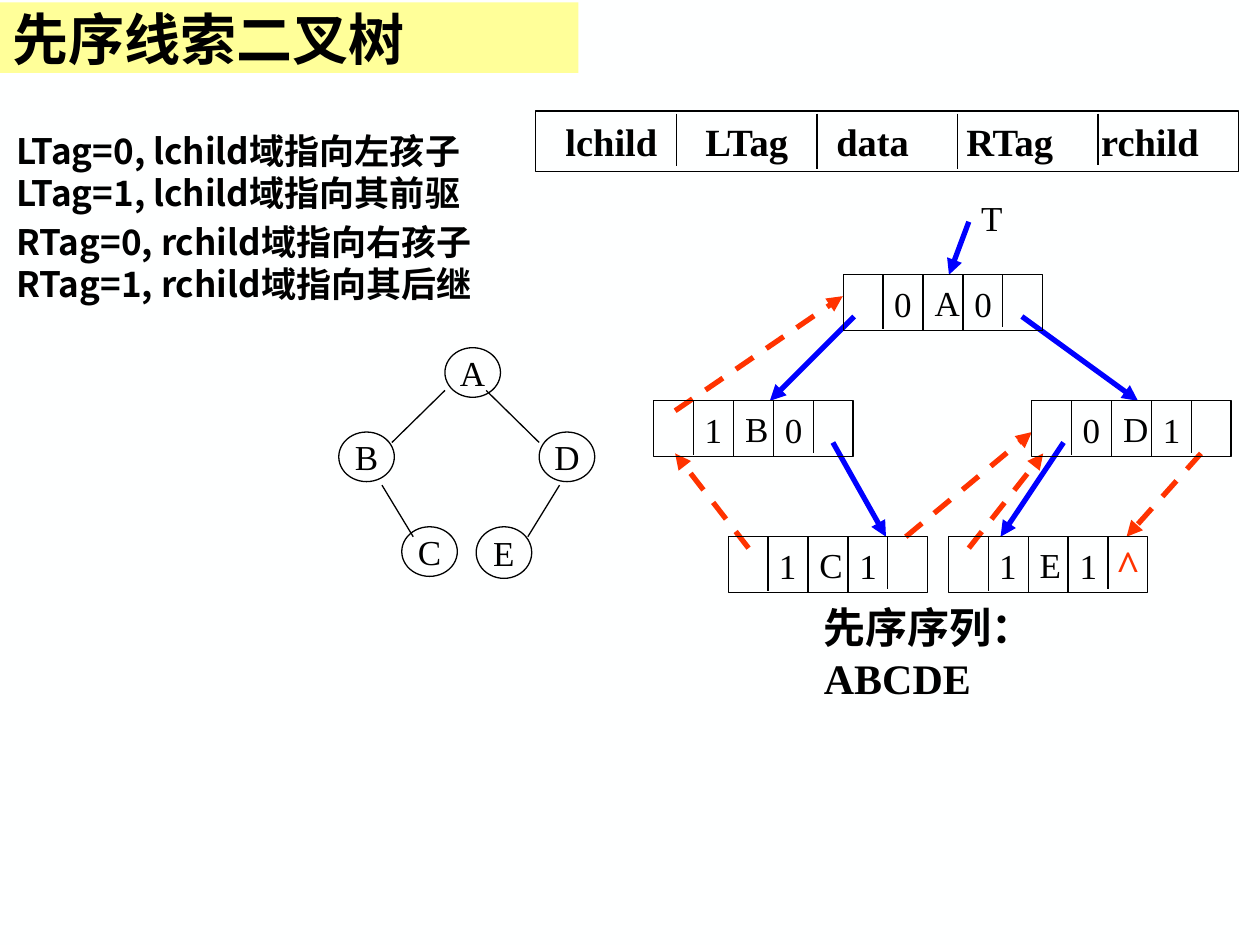
from pptx import Presentation
from pptx.dml.color import RGBColor
from pptx.enum import dml, shapes, text
from pptx.oxml.ns import qn
from pptx.util import Cm, Pt
from lxml import etree

BLACK = RGBColor(0x00, 0x00, 0x00)
BLUE = RGBColor(0x00, 0x00, 0xFF)
RED = RGBColor(0xFF, 0x33, 0x00)
CREAM = RGBColor(0xFF, 0xFF, 0x99)
PAPER = RGBColor(0xFE, 0xFF, 0xFF)
SERIF, SANS = "Times New Roman", "Noto Sans CJK SC"
LEFT, MID = text.PP_ALIGN.LEFT, text.PP_ALIGN.CENTER

deck = Presentation()
deck.slide_width, deck.slide_height = Cm(25.4), Cm(19.05)
slide = deck.slides.add_slide(deck.slide_layouts[6])
slide.background.fill.solid()
slide.background.fill.fore_color.rgb = PAPER


def write(words, x, y, w, h, form=None, size=20, font=SERIF, bold=False,
          color=BLACK, align=LEFT, wrap=False, top=False, inset=0.25,
          fill=None, line=True, tabs=(), gap=0):
    """Put text in a text box, or in the preset shape given as form."""
    box = tuple(Cm(n) for n in (x, y, w, h))
    if form is None:
        item = slide.shapes.add_textbox(*box)
    else:
        item = slide.shapes.add_shape(form, *box)
        item.shadow.inherit = False
        if fill is None:
            item.fill.background()
        else:
            item.fill.solid()
            item.fill.fore_color.rgb = fill
        if line:
            item.line.color.rgb, item.line.width = BLACK, Pt(0.75)
        else:
            item.line.fill.background()
    frame = item.text_frame
    frame.text = words
    frame.word_wrap = wrap
    frame.margin_left = Cm(inset)
    anchor = text.MSO_ANCHOR
    frame.vertical_anchor = anchor.TOP if top else anchor.MIDDLE
    for i, para in enumerate(frame.paragraphs):
        para.alignment = align
        if i:
            para.space_before = Pt(gap)
        if tabs:
            stops = etree.SubElement(para._p.get_or_add_pPr(), qn("a:tabLst"))
            for stop in tabs:
                etree.SubElement(stops, qn("a:tab"), pos=str(Cm(stop)), algn="l")
        for run in para.runs:
            run.font.size, run.font.bold = Pt(size), bold
            run.font.name, run.font.color.rgb = font, color
            if font == SANS:
                etree.SubElement(run._r.rPr, qn("a:ea"), typeface=font)


def link(x1, y1, x2, y2, color=BLACK, width=0.75, dash=False, head=False):
    item = slide.shapes.add_connector(
        shapes.MSO_CONNECTOR.STRAIGHT, Cm(x1), Cm(y1), Cm(x2), Cm(y2))
    item.line.color.rgb, item.line.width = color, Pt(width)
    if dash:
        item.line.dash_style = dml.MSO_LINE.DASH
    if head:
        etree.SubElement(item.line._get_or_add_ln(), qn("a:tailEnd"), type="triangle")
    etree.SubElement(item._element.spPr, qn("a:effectLst"))


OVAL = shapes.MSO_SHAPE.OVAL
RECT = shapes.MSO_SHAPE.RECTANGLE

# Plain binary tree
for name, x, y, h in [("A", 8.97, 7.01, 1), ("B", 6.83, 8.71, 1),
                      ("C", 8.1, 10.62, 1), ("D", 10.87, 8.71, 1),
                      ("E", 9.6, 10.62, 1.04)]:
    write(name, x, y, 1.12, h, form=OVAL, align=MID)
for edge in [(8.97, 7.87, 7.9, 8.92), (9.8, 7.87, 10.87, 8.92),
             (7.7, 9.78, 8.33, 10.82), (11.28, 9.78, 10.64, 10.82)]:
    link(*edge)

# Child pointers, then threads
for ends in [(17.22, 6.38, 15.52, 8.08), (20.6, 6.38, 22.94, 8.08),
             (16.79, 8.92, 17.86, 10.82), (21.44, 8.92, 20.17, 10.82),
             (19.53, 4.47, 19.13, 5.54)]:
    link(*ends, color=BLUE, width=3, head=True)
for ends in [(13.61, 8.28, 16.99, 5.97), (15.09, 11.05, 13.61, 9.14),
             (18.26, 10.82, 20.8, 8.71), (24.21, 9.14, 22.71, 10.82),
             (19.53, 11.05, 21.03, 9.14)]:
    link(*ends, color=RED, width=3, dash=True, head=True)

# Threaded nodes: five cells with a tag on each side of the name
wide, tall = 4.02, 1.12
for name, x, y, ltag, rtag in [("A", 17, 5.54, "0", "0"),
                               ("B", 13.18, 8.08, "1", "0"),
                               ("D", 20.8, 8.08, "0", "1"),
                               ("C", 14.68, 10.82, "1", "1"),
                               ("E", 19.12, 10.82, "1", "1")]:
    write(name, x, y, wide, tall, form=RECT, wrap=True, inset=1.84)
    for i, drop in enumerate([1.1, 1.12, 1.12, 1.06], 1):
        link(x + i * wide / 5, y, x + i * wide / 5, y + drop)
    for tag, shift in [(ltag, 0.77), (rtag, 2.39)]:
        write(tag, x + shift, y + 0.04, 0.86, 1.09, align=MID)
write("^", 22.23, 10.72, 1.02, 1.27, size=24, bold=True, color=RED, align=MID)
write("T", 19.53, 3.84, 0.94, 1.09, top=True)
write("先序序列：\vABCDE", 16.36, 12.01, 7.75, 1.27, size=24, bold=True, top=True)

# Node layout
write("lchild\tLTag\tdata\tRTag\trchild", 10.8, 2.24, 14.17, 1.22, form=RECT,
      size=22, bold=True, wrap=True, inset=0.6, tabs=(2.82, 5.46, 8.08, 10.8))
for i, foot in enumerate([3.35, 3.4, 3.4, 3.33], 1):
    x = 10.8 + i * 14.17 / 5
    link(x, 2.29, x, foot)

# Title and rules
write("先序线索二叉树", 0, 0.05, 11.66, 1.42, form=RECT, size=32, font=SANS,
      bold=True, wrap=True, fill=CREAM, line=False)
write("LTag=0, lchild域指向左孩子\vLTag=1, lchild域指向其前驱\n"
      "RTag=0, rchild域指向右孩子\vRTag=1, rchild域指向其后继",
      0.08, 2.49, 10.01, 3.81, font=SANS, bold=True, wrap=True, top=True, gap=4)

deck.save("out.pptx")
